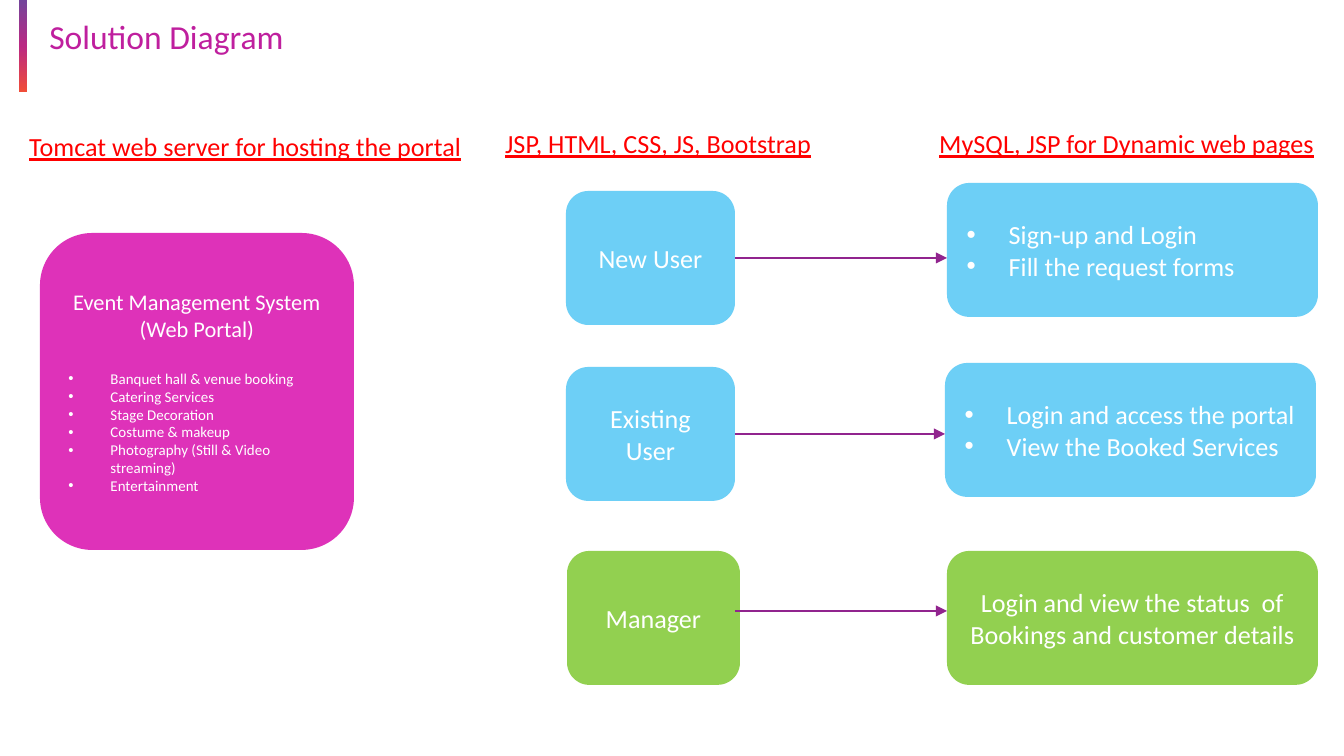
"""Build the solution diagram slide of an event management portal."""
from copy import deepcopy

from lxml import etree
from pptx import Presentation
from pptx.dml.color import RGBColor
from pptx.enum.shapes import MSO_CONNECTOR, MSO_SHAPE
from pptx.enum.text import MSO_ANCHOR, MSO_AUTO_SIZE, PP_ALIGN
from pptx.oxml.ns import qn
from pptx.util import Emu, Pt

STRAIGHT = MSO_CONNECTOR.STRAIGHT
RECTANGLE = MSO_SHAPE.RECTANGLE
ROUNDED = MSO_SHAPE.ROUNDED_RECTANGLE
MIDDLE = MSO_ANCHOR.MIDDLE
LEFT, CENTER = PP_ALIGN.LEFT, PP_ALIGN.CENTER
NO_FIT, GROW = MSO_AUTO_SIZE.NONE, MSO_AUTO_SIZE.SHAPE_TO_FIT_TEXT
RIGHT_SIDE = 3

PX_PER_INCH = 134.4
FONT = "Calibri"
COLORS = {
    "title": "BF1F9E", "heading": "FF0000", "text": "FFFFFF",
    "portal": "DE32B9", "user": "6DCFF6", "manager": "92D050",
    "arrow": "91248E",
    "bar_top": "73459B", "bar_middle": "BA2983", "bar_bottom": "F04D38",
}


def px(*lengths):
    return [Emu(round(length * 914400 / PX_PER_INCH)) for length in lengths]


def color(name):
    return RGBColor.from_string(COLORS[name])


class Diagram:
    def __init__(self, slide):
        self.slide = slide
        self.shapes = slide.shapes

    def add_text(self, paragraph, text, size, color_name, align=LEFT, underline=None):
        paragraph.alignment = align
        run = paragraph.add_run()
        run.text = text
        run.font.name = FONT
        run.font.size = Pt(size)
        run.font.underline = underline
        run.font.color.rgb = color(color_name)

    def bullet(self, paragraph):
        properties = paragraph._p.get_or_add_pPr()
        indent, = px(42)
        properties.set("marL", str(indent))
        properties.set("indent", str(-indent))
        etree.SubElement(properties, qn("a:buFont")).set("typeface", "Arial")
        etree.SubElement(properties, qn("a:buChar")).set("char", "•")

    def title(self, text, *box):
        shape = self.shapes.title
        shape.left, shape.top, shape.width, shape.height = px(*box)
        frame = shape.text_frame
        frame.auto_size = NO_FIT
        frame.vertical_anchor = MIDDLE
        frame.margin_left = frame.margin_right = Pt(5)
        frame.margin_top = frame.margin_bottom = Pt(3)
        self.add_text(frame.paragraphs[0], text, 18, "title")

    def gradient_bar(self, names, *box):
        shape = self.shapes.add_shape(RECTANGLE, *px(*box))
        shape.shadow.inherit = False
        shape.line.fill.background()
        shape.rotation = 90
        shape.fill.gradient()
        shape.fill.gradient_angle = 0
        stop_list = shape._element.spPr.find(".//" + qn("a:gsLst"))
        stop_list.insert(1, deepcopy(stop_list[0]))
        for index, (stop, name) in enumerate(zip(shape.fill.gradient_stops, names)):
            stop.position = index / 2
            stop.color.rgb = color(name)

    def heading(self, text, *box):
        frame = self.shapes.add_textbox(*px(*box)).text_frame
        frame.word_wrap = True
        frame.auto_size = GROW
        self.add_text(frame.paragraphs[0], text, 14, "heading", underline=True)

    def card(self, fill, box, caption=None, size=14, bullets=(), bullet_size=14, gap=0):
        shape = self.shapes.add_shape(ROUNDED, *px(*box))
        shape.shadow.inherit = False
        shape.line.fill.background()
        shape.fill.solid()
        shape.fill.fore_color.rgb = color(fill)
        frame = shape.text_frame
        frame.word_wrap = True
        frame.vertical_anchor = MIDDLE
        paragraph = frame.paragraphs[0]
        if caption:
            self.add_text(paragraph, caption, size, "text", CENTER)
        for index, text in enumerate(bullets):
            if caption or index:
                paragraph = frame.add_paragraph()
            if caption and index == 0:
                paragraph.space_before = Pt(gap)
            self.bullet(paragraph)
            self.add_text(paragraph, text, bullet_size, "text")
        return shape

    def arrow(self, start_x, end_x, y, source=None):
        connector = self.shapes.add_connector(STRAIGHT, *px(start_x, y, end_x, y))
        if source is not None:
            connector.begin_connect(source, RIGHT_SIDE)
        connector.line.color.rgb = color("arrow")
        connector.line.width = Pt(0.75)
        line = connector.line._get_or_add_ln()
        etree.SubElement(line, qn("a:tailEnd")).set("type", "triangle")
        etree.SubElement(connector._element.spPr, qn("a:effectLst"))


def main():
    presentation = Presentation()
    presentation.slide_width, presentation.slide_height = px(1344, 756)
    slide = presentation.slides.add_slide(presentation.slide_layouts[5])
    diagram = Diagram(slide)

    diagram.gradient_bar(("bar_top", "bar_middle", "bar_bottom"), -23, 42, 92, 8)
    diagram.title("Solution Diagram", 40, 0, 918, 72)
    diagram.card(
        "portal", (40, 233, 314, 317),
        "Event Management System (Web Portal)", 12,
        ("Banquet hall & venue booking", "Catering Services", "Stage Decoration",
         "Costume & makeup", "Photography (Still & Video streaming)", "Entertainment"),
        bullet_size=8, gap=14.6)

    new_user = diagram.card("user", (566, 191, 169, 134), "New User")
    existing_user = diagram.card("user", (566, 367, 169, 134), "Existing User")
    diagram.card("manager", (567, 551, 173, 134), "Manager")

    diagram.card("user", (947, 183, 371, 134),
                 bullets=("Sign-up and Login", "Fill the request forms"))
    diagram.card("user", (945, 363, 371, 134),
                 bullets=("Login and access the portal", "View the Booked Services"))
    diagram.card("manager", (947, 551, 371, 134),
                 "Login and view the status  of Bookings and customer details")

    diagram.arrow(735, 947, 258, new_user)
    diagram.arrow(735, 945, 434, existing_user)
    diagram.arrow(735, 947, 611)

    diagram.heading("JSP, HTML, CSS, JS, Bootstrap", 492, 121, 349, 46)
    diagram.heading("MySQL, JSP for Dynamic web pages", 926, 121, 413, 46)
    diagram.heading("Tomcat web server for hosting the portal", 16, 124, 465, 46)

    presentation.save("out.pptx")


if __name__ == "__main__":
    main()
